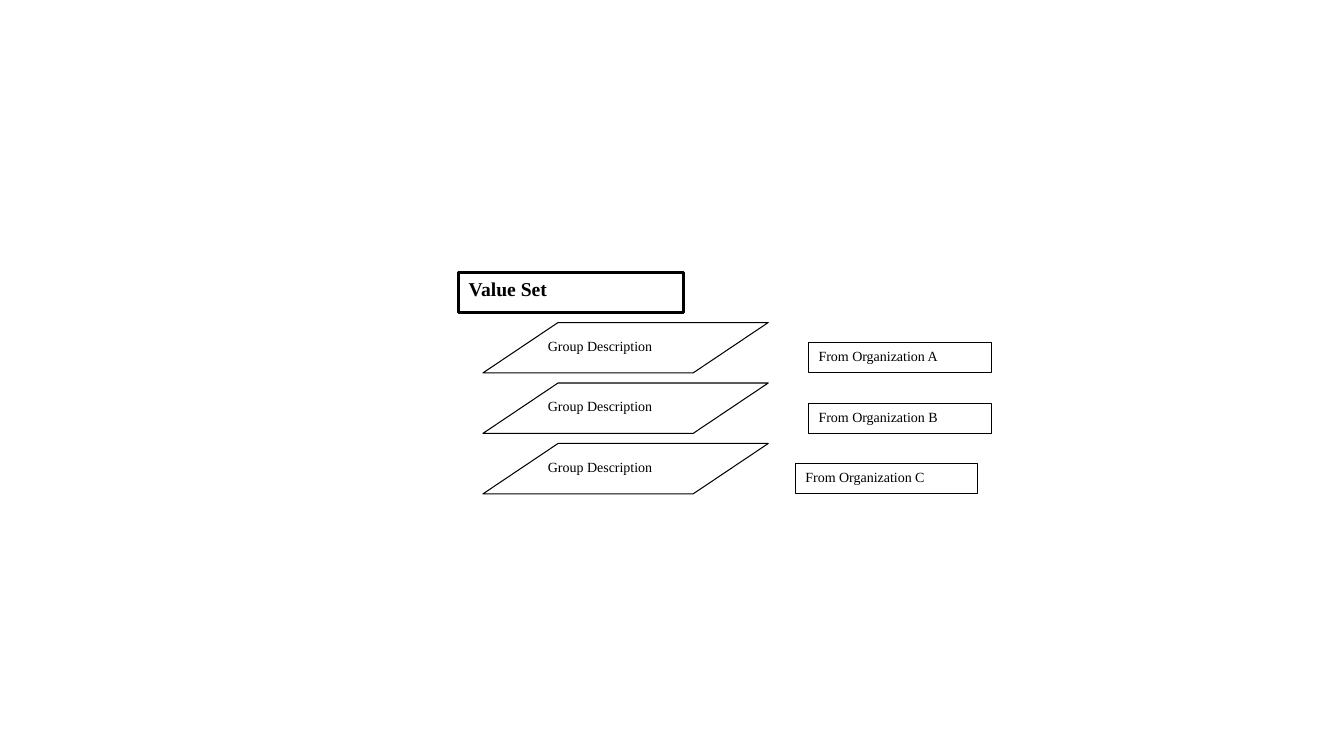
from dataclasses import dataclass

from pptx import Presentation
from pptx.dml.color import RGBColor
from pptx.enum.shapes import MSO_SHAPE
from pptx.enum.text import MSO_ANCHOR, PP_ALIGN
from pptx.util import Inches, Pt


@dataclass(frozen=True)
class Theme:
    font: str = "Times New Roman"
    ink: RGBColor = RGBColor(0, 0, 0)
    paper: RGBColor = RGBColor(255, 255, 255)
    heading_size: int = 14
    label_size: int = 10
    heading_line: float = 2
    label_line: float = 0.75


class Diagram:
    def __init__(self, slide, theme):
        self.slide = slide
        self.theme = theme

    def shape(self, kind, box, text, line, **font):
        sp = self.slide.shapes.add_shape(kind, *map(Inches, box))
        sp.shadow.inherit = False
        sp.fill.solid()
        sp.fill.fore_color.rgb = self.theme.paper
        sp.line.color.rgb = self.theme.ink
        sp.line.width = Pt(line)
        tf = sp.text_frame
        tf.word_wrap = True
        tf.vertical_anchor = MSO_ANCHOR.TOP
        p = tf.paragraphs[0]
        p.alignment = PP_ALIGN.LEFT
        r = p.add_run()
        r.text = text
        for name, value in {"name": self.theme.font, **font}.items():
            setattr(r.font, name, value)
        r.font.color.rgb = self.theme.ink
        return sp

    def heading(self, box, text):
        self.shape(MSO_SHAPE.RECTANGLE, box, text, self.theme.heading_line,
                   size=Pt(self.theme.heading_size), bold=True)

    def label(self, box, text, kind=MSO_SHAPE.RECTANGLE):
        return self.shape(kind, box, text, self.theme.label_line,
                          size=Pt(self.theme.label_size))

    def group(self, box, text):
        sp = self.label(box, text, MSO_SHAPE.PARALLELOGRAM)
        sp.adjustments[0] = 1.49


def main():
    prs = Presentation()
    prs.slide_width = Inches(13.33)
    prs.slide_height = Inches(7.5)
    s = prs.slides.add_slide(prs.slide_layouts[6])
    diagram = Diagram(s, Theme())

    diagram.heading((4.55, 2.7, 2.23, 0.4), "Value Set")
    organizations = [("A", 8.02), ("B", 8.02), ("C", 7.89)]
    for row, (organization, left) in enumerate(organizations):
        top = 3.2 + 0.6 * row
        diagram.group((4.79, top, 2.83, 0.5), "Group Description")
        diagram.label((left, top + 0.2, 1.81, 0.3), f"From Organization {organization}")

    prs.save("out.pptx")


if __name__ == "__main__":
    main()
